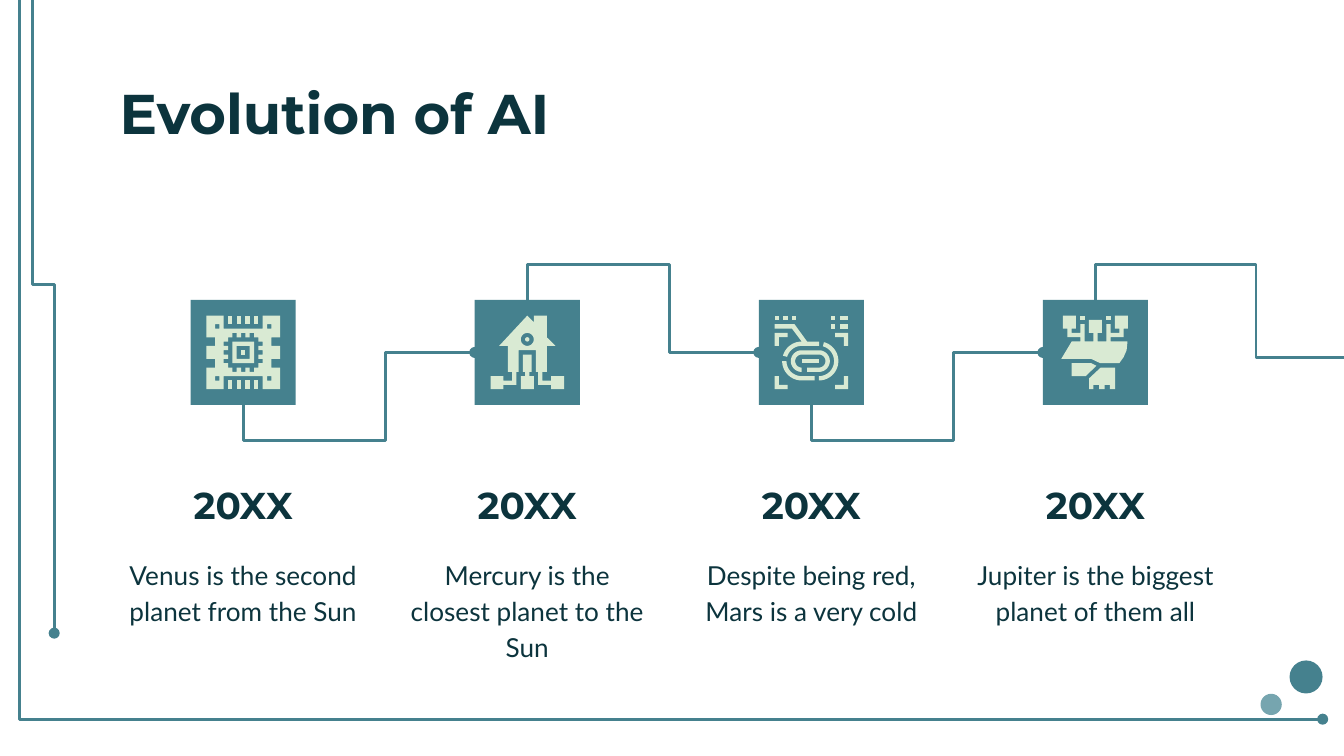
from dataclasses import dataclass
from math import cos, radians, sin

from lxml.etree import SubElement
from pptx import Presentation
from pptx.dml.color import RGBColor
from pptx.enum.shapes import MSO_CONNECTOR as Link, MSO_SHAPE as Preset
from pptx.enum.text import MSO_ANCHOR as Anchor, PP_ALIGN as Align
from pptx.oxml.ns import qn
from pptx.util import Pt


@dataclass(frozen=True)
class Theme:
    ink: str = "0C343D"
    teal: str = "45818E"
    light_teal: str = "76A5AF"
    icon: str = "D9EAD3"
    heading_font: str = "Montserrat"
    body_font: str = "Lato"
    title_size: float = 30
    year_size: float = 20
    body_size: float = 14
    line_width: float = 1.5


# Icons are drawn on a grid of 17 by 17 cells
CELLS = 17
CELL = 2.32


def block(x, y, width=1, height=1):
    right, bottom = x + width, y + height
    return f"{x},{y} {x},{bottom} {right},{bottom} {right},{y}"


def trace(contour):
    """Turn 'x,y' points and 'x,y,radius,from,to' arcs into a list of points."""
    points = []
    for token in contour.split():
        x, y, *arc = map(float, token.split(","))
        if not arc:
            points.append((x, y))
            continue
        radius, first, last = arc
        for step in range(25):
            angle = radians(first + (last - first) * step / 24)
            points.append((x + radius * cos(angle), y + radius * sin(angle)))
    return points


def pin_outline():
    """One side of the chip with its pins, turned to all four sides."""
    side = trace("5,5 6,5 6,4 7,4 7,5 8,5 8,4 9,4 9,5 10,5 10,4 11,4 11,5")
    points = []
    for _ in range(4):
        points += side
        side = [(CELLS - y, x) for x, y in side]
    return " ".join(f"{x},{y}" for x, y in points)


# Each icon is a list of shapes, each shape a list of contours
CHIP = [[block(x, y, 1, 2)] for y in (0, 15) for x in (5, 7, 9, 11)] + [
    [block(6, 6, 5, 5), block(7, 7, 3, 3)],
    [block(8, 8)],
    ["0,0 0,5 2,5 2,7 0,7 0,10 2,10 2,12 0,12 0,17 4,17 4,14 13,14 13,17 17,17 "
     "17,12 15,12 15,10 17,10 17,7 15,7 15,5 17,5 17,0 13,0 13,3 4,3 4,0",
     pin_outline()] + [block(x, y) for x in (2, 14) for y in (2, 14)],
]
HOUSE = [
    ["7.5,9 7.5,13 8,13 8,14 7,14 7,17 10,17 10,14 9,14 9,13 9.5,13 9.5,9"],
    ["8.5,5.5,0.5,0,360"],
    ["8.5,0 2,7 4,7 4,13 5,13 5,15 3,15 3,14 0,14 0,17 3,17 3,16 6,16 6,13 "
     "6.5,13 6.5,8 10.5,8 10.5,13 11,13 11,16 14,16 14,17 17,17 17,14 14,14 "
     "14,15 12,15 12,13 13,13 13,7 15,7 13,5 13,0 10,0 10,1.5",
     "8.5,5.5,1.5,0,360"],
]
FINGERPRINT = [[block(x, 0)] for x in (0, 2, 4)] + [
    [block(x, y, width)] for x, width in ((13, 1), (15, 2)) for y in (0, 2)] + [
    ["14,4 14,5 16,5 16,7 17,7 17,4"],
    ["16,14 16,16 14,16 14,17 17,17 17,14"],
    ["0,4 0,7 1,7 1,5 3,5 3,4"],
    ["0,14 0,17 3,17 3,16 1,16 1,14"],
    ["0,2 0,3 4,3 6.25,6 6.25,10.5,4.5,270,196 6.25,10.5,3.5,196,270 "
     "10.25,7 10.25,6 7.5,6 4.6,2"],
    ["10.25,10.5,4.5,-75,90 10.25,10.5,3.5,90,-75"],
    ["6.25,10.5,4.5,180,90 9.25,15 9.25,14 6.25,10.5,3.5,90,180"],
    ["6.25,10.5,2.5,270,90 6.25,10.5,1.5,90,270 10.25,10.5,1.5,-90,90 "
     "7.5,12 7.5,13 10.25,10.5,2.5,90,-90"],
    [block(6.25, 10, 4)],
]
ROBOT_HAND = [
    ["13,0 13,3 14,3 14,4 12,4 12,2 11,2 11,6 9,6 9,4 10,4 10,1 7,1 7,4 8,4 8,6 "
     "6,6 6,2 5,2 5,4 3,4 3,3 4,3 4,0 1,0 1,3 2,3 2,5 5,5 5,6 3,6 0.6,10 7.5,10 "
     "9.6,11 14,11 15,9.6 15.7,8 15.9,6 12,6 12,5 15,5 15,3 16,3 16,0"],
    [block(5, 0)],
    [block(11, 0)],
    ["9.7,12 7,14.5 7,17 8,17 8,16 9.3,16 9.3,17 10.6,17 10.6,16 11.8,16 "
     "11.8,17 13,17 13,12"],
    ["3,11 3,14 6.2,14 8.7,11.6 7.5,11"],
]


class SlideBuilder:
    def __init__(self, page, theme):
        self.page = page
        self.theme = theme

    def fill(self, shape, color):
        shape.shadow.inherit = False
        shape.fill.solid()
        shape.fill.fore_color.rgb = RGBColor.from_string(color)
        shape.line.fill.background()

    def shape(self, preset, center_x, center_y, size, color):
        left, top = center_x - size / 2, center_y - size / 2
        shape = self.page.shapes.add_shape(preset, Pt(left), Pt(top), Pt(size), Pt(size))
        self.fill(shape, color)

    def text(self, words, left, top, width, height, size, font, bold=False,
             align=Align.CENTER, anchor=Anchor.TOP, spacing=1.15):
        box = self.page.shapes.add_textbox(Pt(left), Pt(top), Pt(width), Pt(height))
        frame = box.text_frame
        frame.word_wrap = True
        frame.vertical_anchor = anchor
        frame.margin_left = frame.margin_right = Pt(7.2)
        frame.margin_top = frame.margin_bottom = Pt(7.2)
        frame.text = words
        para = frame.paragraphs[0]
        para.alignment = align
        para.line_spacing = spacing
        span = para.runs[0]
        span.font.name, span.font.size, span.font.bold = font, Pt(size), bold
        span.font.color.rgb = RGBColor.from_string(self.theme.ink)

    def icon(self, parts, center_x, center_y):
        left, top = center_x - CELLS * CELL / 2, center_y - CELLS * CELL / 2
        group = self.page.shapes.add_group_shape()
        for contours in parts:
            outlines = [[(Pt(left + x * CELL), Pt(top + y * CELL))
                         for x, y in trace(contour)] for contour in contours]
            builder = group.shapes.build_freeform(*outlines[0][0])
            builder.add_line_segments(outlines[0][1:])
            for outline in outlines[1:]:
                builder.move_to(*outline[0])
                builder.add_line_segments(outline[1:])
            self.fill(builder.convert_to_shape(), self.theme.icon)

    def elbow(self, start, end, bends, upright=False):
        """Elbow line with a round end; an upright one leaves its start vertically."""
        (x1, y1), (x2, y2) = start, end
        if upright:
            middle_x, middle_y = (x1 + x2) / 2, (y1 + y2) / 2
            half_width, half_height = abs(y2 - y1) / 2, abs(x2 - x1) / 2
            side = 1 if y2 > y1 else -1
            x1, x2 = middle_x + side * half_width, middle_x - side * half_width
            y1, y2 = middle_y - half_height, middle_y + half_height
        line = self.page.shapes.add_connector(Link.ELBOW, Pt(x1), Pt(y1), Pt(x2), Pt(y2))
        line.line.width = Pt(self.theme.line_width)
        line.line.color.rgb = RGBColor.from_string(self.theme.teal)
        properties = line._element.spPr
        if upright:
            properties.find(qn("a:xfrm")).set("rot", str(270 * 60000))
        geometry = properties.find(qn("a:prstGeom"))
        geometry.set("prst", f"bentConnector{len(bends) + 2}")
        guides = geometry.find(qn("a:avLst"))
        for number, bend in enumerate(bends, 1):
            SubElement(guides, qn("a:gd"), name=f"adj{number}",
                       fmla=f"val {round(bend * 100000)}")
        stroke = properties.find(qn("a:ln"))
        SubElement(stroke, qn("a:round"))
        SubElement(stroke, qn("a:tailEnd"), type="oval")
        SubElement(properties, qn("a:effectLst"))


def main():
    theme = Theme()
    deck = Presentation()
    deck.slide_width, deck.slide_height = Pt(720), Pt(405)
    slide = SlideBuilder(deck.slides.add_slide(deck.slide_layouts[6]), theme)

    # Corner dots and frame lines
    slide.shape(Preset.OVAL, 681, 377.4, 11.4, theme.light_teal)
    slide.shape(Preset.OVAL, 699.7, 362.7, 17.7, theme.teal)
    slide.elbow((5, -46.8), (708.6, 385.3), [0.008])
    slide.elbow((17.4, -34.6), (29, 339.2), [0.5], upright=True)

    # Title
    slide.text("Evolution of AI", 57, 35, 607, 45, theme.title_size,
               theme.heading_font, True, Align.LEFT, spacing=1)

    # Timeline milestones
    milestones = [
        (CHIP, "Venus is the second planet from the Sun"),
        (HOUSE, "Mercury is the closest planet to the Sun"),
        (FINGERPRINT, "Despite being red, Mars is a very cold"),
        (ROBOT_HAND, "Jupiter is the biggest planet of them all"),
    ]
    first, pitch, middle, tile, width = 130.3, 152.2, 188.8, 56.3, 148.3
    centers = [first + pitch * index for index in range(len(milestones))]
    for center, (parts, words) in zip(centers, milestones):
        left = center - width / 2
        slide.shape(Preset.RECTANGLE, center, middle, tile, theme.teal)
        slide.icon(parts, center, middle)
        slide.text("20XX", left, 253.4, width, 36, theme.year_size,
                   theme.heading_font, True, anchor=Anchor.BOTTOM)
        slide.text(words, left, 290.2, width, 45.4, theme.body_size, theme.body_font)

    # Links leave alternately below and above the tiles
    lead = 18.9
    for index, center in enumerate(centers):
        is_last = index == len(centers) - 1
        start_y = middle + (tile / 2 if index % 2 == 0 else -tile / 2)
        end = (730, 191.5) if is_last else (centers[index + 1] - tile / 2, middle)
        turn = 86 if is_last else pitch / 2
        bends = [-lead / abs(end[1] - start_y), turn / (end[0] - center)]
        slide.elbow((center, start_y), end, bends, upright=True)

    deck.save("out.pptx")


if __name__ == "__main__":
    main()
